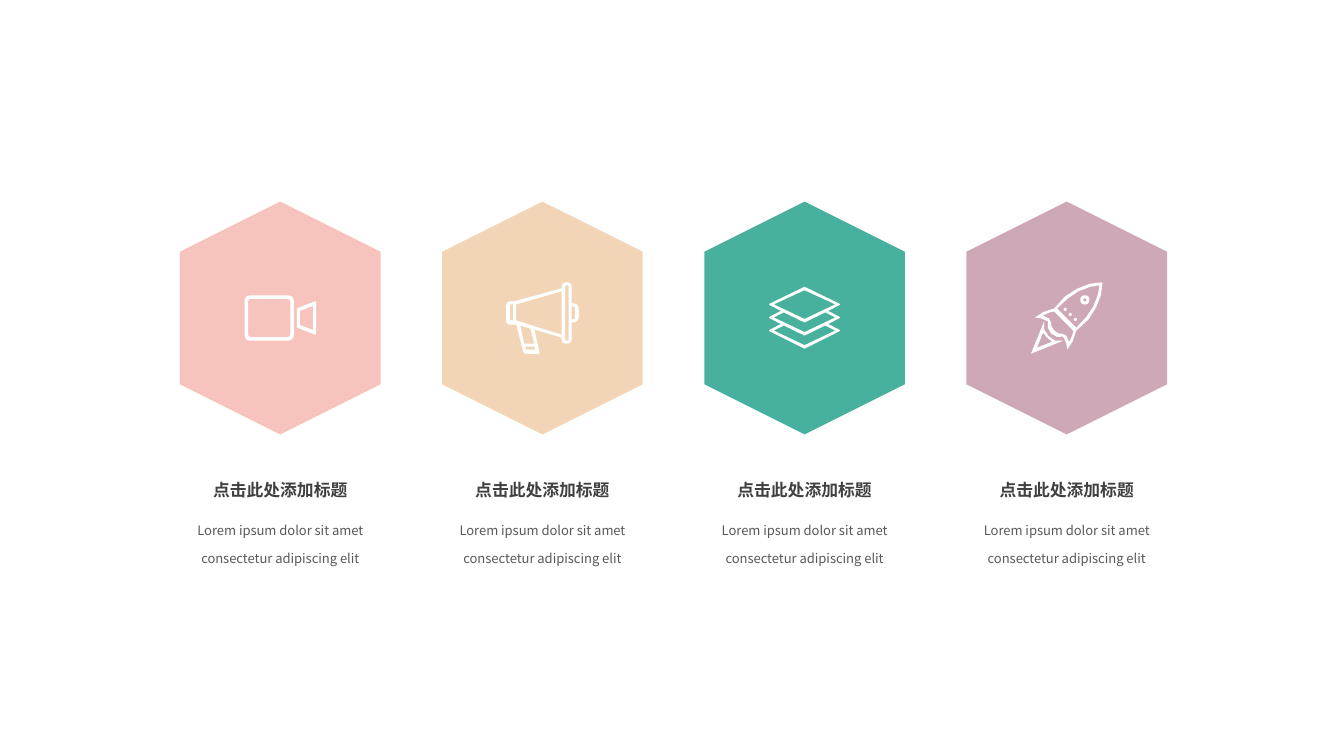
from lxml.etree import SubElement
from pptx import Presentation
from pptx.dml.color import RGBColor
from pptx.enum.shapes import MSO_SHAPE
from pptx.enum.text import MSO_ANCHOR, MSO_AUTO_SIZE, PP_ALIGN
from pptx.oxml.ns import qn
from pptx.util import Inches, Pt

FONT = "Noto Sans CJK SC"
HEAD = "点击此处添加标题"
BODY = "Lorem ipsum dolor sit amet consectetur adipiscing elit"


# Icon outlines: (x, y, corner radius) in hundredths of an inch from the centre
def box(x1, y1, x2, y2, r=0):
    return [(x1, y1, r), (x2, y1, r), (x2, y2, r), (x1, y2, r)]


def disc(x, y, r):
    return box(x - r, y - r, x + r, y + r, r)


def flip(half):
    """Close a half outline across the vertical axis."""
    return half + [(-x, y, *r) for x, y, *r in reversed(half)]


def fold(half):
    """Close a half outline across the rising diagonal."""
    return half + [(-y, -x, *r) for x, y, *r in reversed(half)]


CAMERA = [
    box(-35.5, -22.5, 13.5, 22.5, 6.5),
    box(-32, -19, 10, 19, 3.5),
    [(16.5, -9.5, 1), (35.5, -17, 2), (35.5, 17, 2), (16.5, 9.5, 1)],
    [(19.5, -7), (32.5, -12), (32.5, 12), (19.5, 7)],
]
HORN = [
    [(19, -29.5), (19, -35.5, 5), (29, -35.5, 5), (29, -14.5),
     (36, -14.5, 6), (36, 4.5, 6), (29, 4.5), (29, 25.5, 5),
     (19, 25.5, 5), (19, 19.5), (-8, 11.5), (-2.5, 35.5, 2),
     (-18.5, 35.5, 2), (-26, 6.5), (-36, 6.5, 4), (-36, -16.5, 4),
     (-28, -16.5), (19, -29.5)],
    [(29, -11.5), (32.5, -11.5, 3), (32.5, 1.5, 3), (29, 1.5)],
    box(22.5, -32.5, 26, 22.5, 1.5),
    [(19, 16.5), (-26, 2.5), (-26, -13.5), (19, -26.5)],
    [(-8, 25.5), (-18, 25.5), (-22, 7.5), (-12, 10.5)],
    [(-7, 31.5), (-16, 31.5), (-17, 28.5), (-8, 28.5)],
    box(-32, -13.5, -29, 2.5),
]
LAYERS = [
    flip([(0, -31), (36, -13.5, 2), (23.5, -7), (36, -0.5, 2),
          (23.5, 6), (36, 12.5, 2), (0, 30.5)]),
    flip([(0, -27.5), (30.5, -13.5), (0, 1)]),
] + [flip([(0, 4.5 + drop), (20.5, -5.5 + drop), (30.5, -0.5 + drop),
           (0, 14 + drop)]) for drop in (0, 13)]
ROCKET = [
    fold([(35.5, -35.5), (22.8, -34), (10.2, -29), (-1.5, -21.5),
          (-12.5, -9.5), (-23, -6), (-31.5, -0.5), (-25, 0.5),
          (-18.5, 3.5), (-18.8, 9.5), (-15.5, 15.5)]),
    fold([(32.5, -32.5), (23.5, -31), (11.4, -26.4), (0.5, -19),
          (-9.5, -9.5)]),
    fold([(-12.5, -6.5), (-17, -5.5), (-24, -2.5), (-17.5, 0.5),
          (-15.5, 4.5), (-15.5, 7.5), (-12.5, 12.5)]),
    fold([(-18, 18), (-22.5, 11.5), (-22.5, 3.5), (-35.5, 35.5)]),
    fold([(-19.5, 19.5), (-23.5, 14.5), (-29.5, 29.5)]),
    disc(18, -18, 4.5), disc(18, -18, 1.5),
] + [disc(3.5 + d, -3.5 + d, 1.5) for d in (-5, 0, 5)]

# Columns: fill, icon, heading, text
COLS = [
    ("F6C4BC", CAMERA, HEAD, BODY),
    ("F2D5B6", HORN, HEAD, BODY),
    ("47B19D", LAYERS, HEAD, BODY),
    ("CEA8B6", ROCKET, HEAD, BODY),
]
LEFT, STEP, MID = 2.78, 2.6, 3.155  # first centre, pitch, icon row


def paint(shape, color):
    shape.fill.solid()
    shape.fill.fore_color.rgb = RGBColor.from_string(color)
    shape.line.fill.background()
    shape.shadow.inherit = False


def bend(points):
    """Replace each corner that has a radius by a sampled curve."""
    out = []
    for i, (x, y, *r) in enumerate(points):
        if not r or not r[0]:
            out.append((x, y))
            continue
        ends = []
        for px, py, *_ in (points[i - 1], points[(i + 1) % len(points)]):
            size = ((px - x) ** 2 + (py - y) ** 2) ** 0.5
            ends.append((x + (px - x) * r[0] / size,
                         y + (py - y) * r[0] / size))
        (ax, ay), (bx, by) = ends
        for t in (0, 0.2, 0.4, 0.6, 0.8, 1):
            a, c, b = (1 - t) ** 2, 2 * t * (1 - t), t * t
            out.append((a * ax + c * x + b * bx, a * ay + c * y + b * by))
    return out


def icon(shapes, cx, cy, loops):
    pen = None
    for loop in loops:
        first, *rest = [(Inches(cx + x / 100), Inches(cy + y / 100))
                        for x, y in bend(loop)]
        if pen:
            pen.move_to(*first)
        else:
            pen = shapes.build_freeform(*first)
        pen.add_line_segments(rest, close=True)
    paint(pen.convert_to_shape(), "FFFFFF")


def label(shapes, cx, top, wide, high, text, size, color, bold=False):
    item = shapes.add_textbox(Inches(cx - wide / 2), Inches(top),
                              Inches(wide), Inches(high))
    frame = item.text_frame
    frame.auto_size = MSO_AUTO_SIZE.SHAPE_TO_FIT_TEXT
    para = frame.paragraphs[0]
    para.alignment = PP_ALIGN.CENTER
    run = para.add_run()
    run.text = text
    run.font.size, run.font.bold, run.font.name = Pt(size), bold, FONT
    run.font.color.rgb = RGBColor.from_string(color)
    SubElement(run.font._element, qn("a:ea"), typeface=FONT)
    return frame


deck = Presentation()
deck.slide_width, deck.slide_height = Inches(13.33), Inches(7.5)
shapes = deck.slides.add_slide(deck.slide_layouts[6]).shapes

for i, (color, loops, head, body) in enumerate(COLS):
    cx = LEFT + i * STEP
    # Hexagon standing on its point
    wide, high = 2.31, 1.99
    hexa = shapes.add_shape(MSO_SHAPE.HEXAGON, Inches(cx - wide / 2),
                            Inches(MID - high / 2), Inches(wide), Inches(high))
    hexa.rotation = 90
    paint(hexa, color)
    icon(shapes, cx, MID, loops)

    # Heading and text
    pair = shapes.add_group_shape().shapes
    frame = label(pair, cx, 5, 2.39, 0.64, body, 9.3, "595959")
    frame.word_wrap = True
    frame.margin_left = frame.margin_right = Inches(0.12)
    frame.margin_top = frame.margin_bottom = Inches(0.06)
    frame.paragraphs[0].line_spacing = Pt(20.2)
    frame = label(pair, cx, 4.71, 1.59, 0.3, head, 12, "404040", True)
    frame.word_wrap = False
    frame.vertical_anchor = MSO_ANCHOR.MIDDLE

deck.save("out.pptx")
